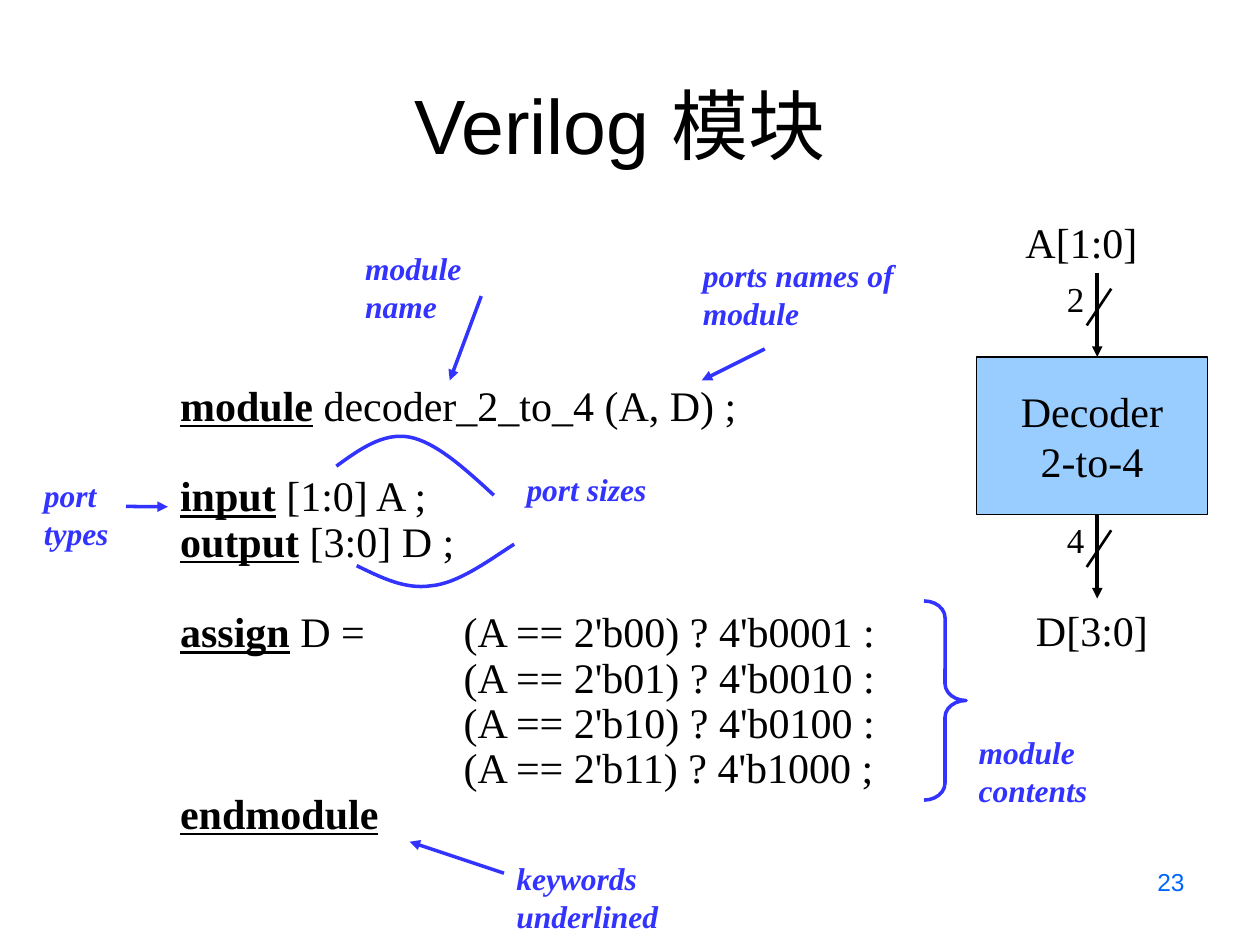
from dataclasses import dataclass
from lxml import etree
from pptx import Presentation
from pptx.dml.color import RGBColor
from pptx.enum.shapes import MSO_CONNECTOR, MSO_SHAPE
from pptx.enum.text import MSO_ANCHOR, PP_ALIGN
from pptx.oxml.ns import qn
from pptx.util import Pt

LEFT, MID, RIGHT = PP_ALIGN.LEFT, PP_ALIGN.CENTER, PP_ALIGN.RIGHT
TOP, CORE, BASE = MSO_ANCHOR.TOP, MSO_ANCHOR.MIDDLE, MSO_ANCHOR.BOTTOM
LINE = MSO_CONNECTOR.STRAIGHT
RECT, BRACE = MSO_SHAPE.RECTANGLE, MSO_SHAPE.RIGHT_BRACE
SERIF, SANS = "Times New Roman", "Arial"
BLACK, BLUE, SKY, PAGE = "000000", "3333FF", "99CCFF", "0066FF"
LEAD = 1.2
PITCH = 25.9
TAB = 162
STEP = 138

Point = tuple[float, float]
Area = tuple[float, float, float, float]


@dataclass
class Note:
    text: str
    area: Area
    wrap: bool = True


@dataclass
class Row:
    key: str
    rest: str
    gap: float = 0


@dataclass
class Link:
    start: Point
    end: Point


NOTES = [
    Note("ports names of module", (394.6, 142.6, 151.2, 50.4)),
    Note("module name", (201.6, 139, 114.5, 28.8), False),
    Note("port types", (18, 268.6, 84.2, 50.4)),
    Note("port sizes", (293.8, 265, 84.2, 28.8)),
    Note("module contents", (552.2, 415.4, 108, 50.4)),
    Note("keywords underlined", (288, 487.4, 168.5, 28.8), False),
]
LINKS = [
    Link((437, 199.4), (401, 217.4)),
    Link((275, 169.2), (257, 217.4)),
    Link((72, 289.4), (96, 289.6)),
    Link((288, 499), (234, 481)),
]
CURVES = [
    [(282.2, 283), (265.7, 267.8), (249.1, 252.7), (234, 249.8),
     (218.9, 247), (205.2, 257), (192.2, 266.4)],
    [(293.8, 311), (277.2, 321.8), (261.4, 333.4), (246.2, 334.8),
     (231.1, 337), (217.4, 329.8), (203.8, 323.3)],
]
CODE = [
    Row("module", " decoder_2_to_4 (A, D) ;"),
    Row("input", " [1:0] A ;", PITCH),
    Row("output", " [3:0] D ;"),
    Row("assign", " D =\t(A == 2'b00) ? 4'b0001 :", PITCH),
    Row("", "\t(A == 2'b01) ? 4'b0010 :"),
    Row("", "\t(A == 2'b10) ? 4'b0100 :"),
    Row("", "\t(A == 2'b11) ? 4'b1000 ;"),
    Row("endmodule", ""),
]

deck = Presentation()
deck.slide_width, deck.slide_height = Pt(720), Pt(540)
slide = deck.slides.add_slide(deck.slide_layouts[6])
shapes = slide.shapes


def tint(code: str) -> RGBColor:
    return RGBColor.from_string(code)


def style(font, size=24, face=SERIF, color=BLACK, bold=False, slant=False):
    font.size, font.name = Pt(size), face
    font.bold, font.italic = bold, slant
    font.color.rgb = tint(color)


def fill_text(frame, text: str, align=LEFT, anchor=TOP, wrap=True,
              lead=LEAD, **look):
    frame.word_wrap, frame.vertical_anchor = wrap, anchor
    for i, line in enumerate(text.split("\n")):
        para = frame.add_paragraph() if i else frame.paragraphs[0]
        para.alignment = align
        if lead:
            para.line_spacing = Pt(lead * look.get("size", 24))
        run = para.add_run()
        run.text = line
        style(run.font, **look)


def add_text(text: str, area: Area, **look):
    box = shapes.add_textbox(*map(Pt, area))
    fill_text(box.text_frame, text, **look)


def add_line(link: Link, color=BLUE, width=2.0, arrow=True):
    line = shapes.add_connector(LINE, *map(Pt, link.start + link.end))
    line.line.color.rgb, line.line.width = tint(color), Pt(width)
    if arrow:
        tail = etree.SubElement(line.line._get_or_add_ln(), qn("a:tailEnd"))
        tail.set("type", "triangle")
    etree.SubElement(line._element.spPr, qn("a:effectLst"))


def outline(shape, color=BLUE, width=2.0, fill=None):
    shape.shadow.inherit = False
    if fill:
        shape.fill.solid()
        shape.fill.fore_color.rgb = tint(fill)
    else:
        shape.fill.background()
    shape.line.color.rgb, shape.line.width = tint(color), Pt(width)


def bend(knots: list[Point], steps=16) -> list[Point]:
    """Sample a chain of cubic curves; each shares its end with the next."""
    spots = [knots[0]]
    for i in range(0, len(knots) - 1, 3):
        quad = knots[i:i + 4]
        for n in range(1, steps + 1):
            t = n / steps
            mix = ((1 - t) ** 3, 3 * t * (1 - t) ** 2,
                   3 * t * t * (1 - t), t ** 3)
            spots.append(tuple(sum(m * p[k] for m, p in zip(mix, quad))
                               for k in (0, 1)))
    return spots


def add_curve(knots: list[Point]):
    spots = [(Pt(x), Pt(y)) for x, y in bend(knots)]
    path = shapes.build_freeform(*spots[0])
    path.add_line_segments(spots[1:], close=False)
    outline(path.convert_to_shape())


def add_code(rows: list[Row], area: Area):
    frame = shapes.add_textbox(*map(Pt, area)).text_frame
    frame.word_wrap = True
    for i, row in enumerate(rows):
        para = frame.add_paragraph() if i else frame.paragraphs[0]
        para.line_spacing = Pt(PITCH)
        if row.gap:
            para.space_before = Pt(row.gap)
        if "\t" in row.rest:
            tabs = etree.SubElement(para._p.get_or_add_pPr(), qn("a:tabLst"))
            etree.SubElement(tabs, qn("a:tab"), pos=str(Pt(TAB)), algn="l")
        for text, key in ((row.key, True), (row.rest, False)):
            if text:
                run = para.add_run()
                run.text = text
                style(run.font, bold=key)
                run.font.underline = key


def add_port(count: str, drop: float):
    """Draw a bus arrow with its slash and width."""
    add_line(Link((627, 156 + drop), (627, 204 + drop)), BLACK)
    add_line(Link((635, 165 + drop), (621, 186 + drop)), BLACK, 1.5, False)
    add_text(count, (602.6, 154.8 + drop, 24.5, 31.7), wrap=False, size=20)


add_text("Verilog 模块", (30.2, 10.8, 648, 90), align=MID, anchor=BASE,
         lead=None, size=44, face=SANS)
add_code(CODE, (95.8, 216, 594, 266.4))

block = shapes.add_shape(RECT, Pt(558), Pt(204), Pt(132), Pt(90))
outline(block, BLACK, 0.75, SKY)
fill_text(block.text_frame, "Decoder\n2-to-4", align=MID, anchor=CORE,
          wrap=False)
for i, count in enumerate("24"):
    add_port(count, i * STEP)
add_text("A[1:0]", (578.9, 120, 78.5, 36), wrap=False)
add_text("D[3:0]", (584.9, 342, 78.5, 36), wrap=False)

for note in NOTES:
    add_text(note.text, note.area, wrap=note.wrap, size=18, color=BLUE,
             bold=True, slant=True)
for link in LINKS:
    add_line(link)
for knots in CURVES:
    add_curve(knots)
brace = shapes.add_shape(BRACE, Pt(528), Pt(343.4), Pt(24), Pt(113.8))
brace.adjustments[0] = 0.4
outline(brace)

add_text("23", (516.2, 491.8, 167.8, 37.4), align=RIGHT, lead=None,
         size=14, face=SANS, color=PAGE)
deck.save("out.pptx")
